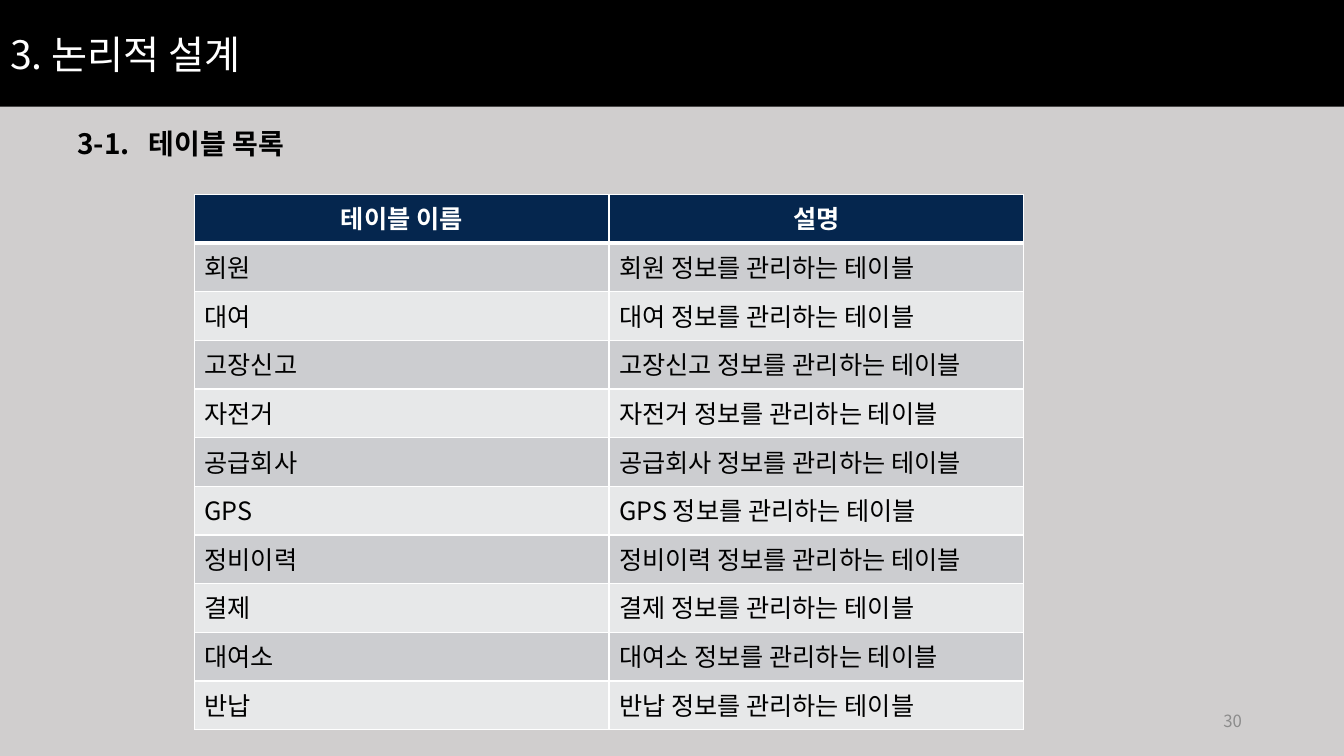
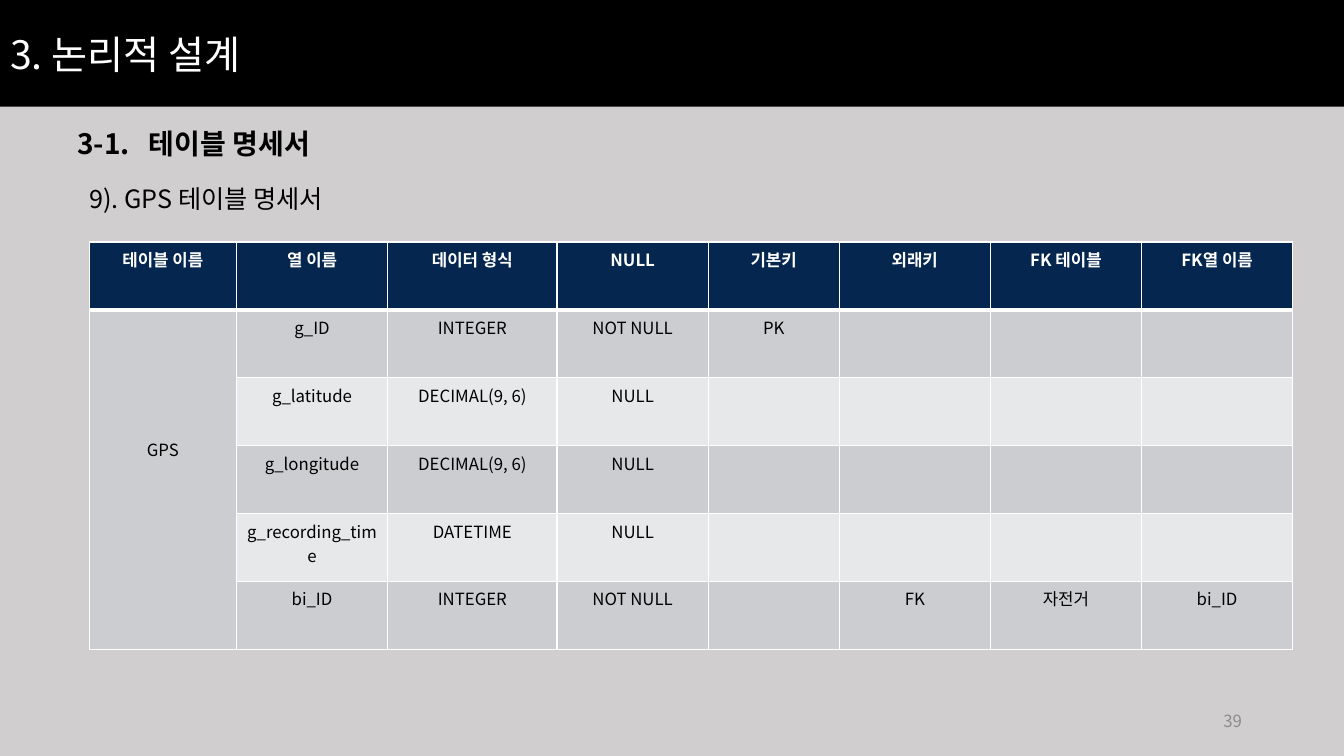
from lxml.etree import SubElement
from pptx import Presentation
from pptx.dml.color import RGBColor
from pptx.enum.text import MSO_ANCHOR as Anchor, PP_ALIGN as Align
from pptx.oxml.ns import qn
from pptx.util import Cm, Pt

FONT = "Noto Sans CJK KR"
BLACK = RGBColor(0x00, 0x00, 0x00)
WHITE = RGBColor(0xFF, 0xFF, 0xFF)
BACKDROP = RGBColor(0xD0, 0xCE, 0xCE)
NAVY = RGBColor(0x05, 0x26, 0x4E)
BANDS = (RGBColor(0xCC, 0xCD, 0xD0), RGBColor(0xE7, 0xE8, 0xE9))
FOOTER_GREY = RGBColor(0x8C, 0x8C, 0x8C)

TITLE = "3. 논리적 설계"
NAMES = ["회원", "대여", "고장신고", "자전거", "공급회사",
         "GPS", "정비이력", "결제", "대여소", "반납"]
TABLE_LIST = [("테이블 이름", "설명")]
TABLE_LIST += [(name, f"{name} 정보를 관리하는 테이블") for name in NAMES]
GPS_COLUMNS = [
    ("테이블 이름", "열 이름", "데이터 형식", "NULL",
     "기본키", "외래키", "FK 테이블", "FK열 이름"),
    ("GPS", "g_ID", "INTEGER", "NOT NULL", "PK", "", "", ""),
    ("", "g_latitude", "DECIMAL(9, 6)", "NULL", "", "", "", ""),
    ("", "g_longitude", "DECIMAL(9, 6)", "NULL", "", "", "", ""),
    ("", "g_recording_time", "DATETIME", "NULL", "", "", "", ""),
    ("", "bi_ID", "INTEGER", "NOT NULL", "", "FK", "자전거", "bi_ID"),
]
GPS_WIDTHS = [3.71, 3.81, 4.27, 3.81, 3.3, 3.81, 3.81, 3.81]

HEADING = {"size": Pt(20), "bold": True, "color": BLACK}
SUBHEADING = {"size": Pt(18), "color": BLACK}
PAGE_NUMBER = {"size": Pt(12), "color": FOOTER_GREY}
TITLE_FORMAT = {"size": Pt(28), "color": WHITE}


def write(para, text, look, align=Align.LEFT):
    para.alignment = align
    span = para.add_run()
    span.text = text
    span.font.name = FONT
    for key, value in look.items():
        if key == "color":
            span.font.color.rgb = value
        else:
            setattr(span.font, key, value)
    SubElement(span.font._element, qn("a:ea"), typeface=FONT)


def add_text(page, place, text, look, align=Align.LEFT, anchor=Anchor.TOP, tab=None):
    box = page.shapes.add_textbox(*map(Cm, place))
    box.text_frame.word_wrap = True
    box.text_frame.vertical_anchor = anchor
    para = box.text_frame.paragraphs[0]
    if tab:
        stops = SubElement(para._p.get_or_add_pPr(), qn("a:tabLst"))
        SubElement(stops, qn("a:tab"), pos=str(Cm(tab)), algn="l")
    write(para, text, look, align)


def set_borders(cell, top, bottom):
    """Draw white cell borders; must run before the cell gets its fill."""
    properties = cell._tc.get_or_add_tcPr()
    for side, points in (("L", 1), ("R", 1), ("T", top), ("B", bottom)):
        line = SubElement(properties, qn(f"a:ln{side}"), w=str(Pt(points)))
        fill = SubElement(line, qn("a:solidFill"))
        SubElement(fill, qn("a:srgbClr"), val=str(WHITE))


def add_grid(page, left, top, height, widths, rows, size, align):
    frame = page.shapes.add_table(len(rows), len(widths), Cm(left), Cm(top),
                                  Cm(sum(widths)), Cm(height))
    table = frame.table
    for column, width in zip(table.columns, widths):
        column.width = Cm(width)
    for r, row in enumerate(rows):
        header = r == 0
        look = {"size": size, "bold": header, "color": WHITE if header else BLACK}
        for c, text in enumerate(row):
            cell = table.cell(r, c)
            set_borders(cell, 3 if r == 1 else 1, 3 if header else 1)
            cell.fill.solid()
            cell.fill.fore_color.rgb = NAVY if header else BANDS[(r - 1) % 2]
            if text:
                write(cell.text_frame.paragraphs[0], text, look,
                      Align.CENTER if header else align)
    return table


def style_layout(deck):
    layout = deck.slide_layouts[5]
    layout.background.fill.solid()
    layout.background.fill.fore_color.rgb = BACKDROP
    band = layout.placeholders.get(idx=0)
    band.left, band.top, band.width, band.height = 0, 0, deck.slide_width, Cm(2.69)
    band.fill.solid()
    band.fill.fore_color.rgb = BLACK
    return layout


def add_page(deck, layout, heading, number):
    page = deck.slides.add_slide(layout)
    frame = page.shapes.title.text_frame
    frame.vertical_anchor = Anchor.MIDDLE
    write(frame.paragraphs[0], TITLE, TITLE_FORMAT)
    add_text(page, (1.7, 3.07, 6.58, 1.12), f"3-1.\t{heading}", HEADING, tab=1.8)
    add_text(page, (23.93, 17.65, 7.62, 1.02), str(number), PAGE_NUMBER,
             Align.RIGHT, Anchor.MIDDLE)
    return page


def main():
    deck = Presentation()
    deck.slide_width, deck.slide_height = Cm(33.87), Cm(19.05)
    layout = style_layout(deck)

    page = add_page(deck, layout, "테이블 목록", 30)
    add_grid(page, 4.9, 4.9, 13.49, [10.45] * 2, TABLE_LIST, Pt(18), Align.LEFT)

    page = add_page(deck, layout, "테이블 명세서", 39)
    add_text(page, (2, 4.5, 7.01, 1.02), "9). GPS 테이블 명세서", SUBHEADING)
    table = add_grid(page, 2.25, 6.1, 10.26, GPS_WIDTHS, GPS_COLUMNS, Pt(12),
                     Align.CENTER)
    owner = table.cell(1, 0)
    owner.merge(table.cell(len(GPS_COLUMNS) - 1, 0))
    owner.vertical_anchor = Anchor.MIDDLE
    owner.margin_bottom = Cm(1.65)

    deck.save("out.pptx")


if __name__ == "__main__":
    main()
